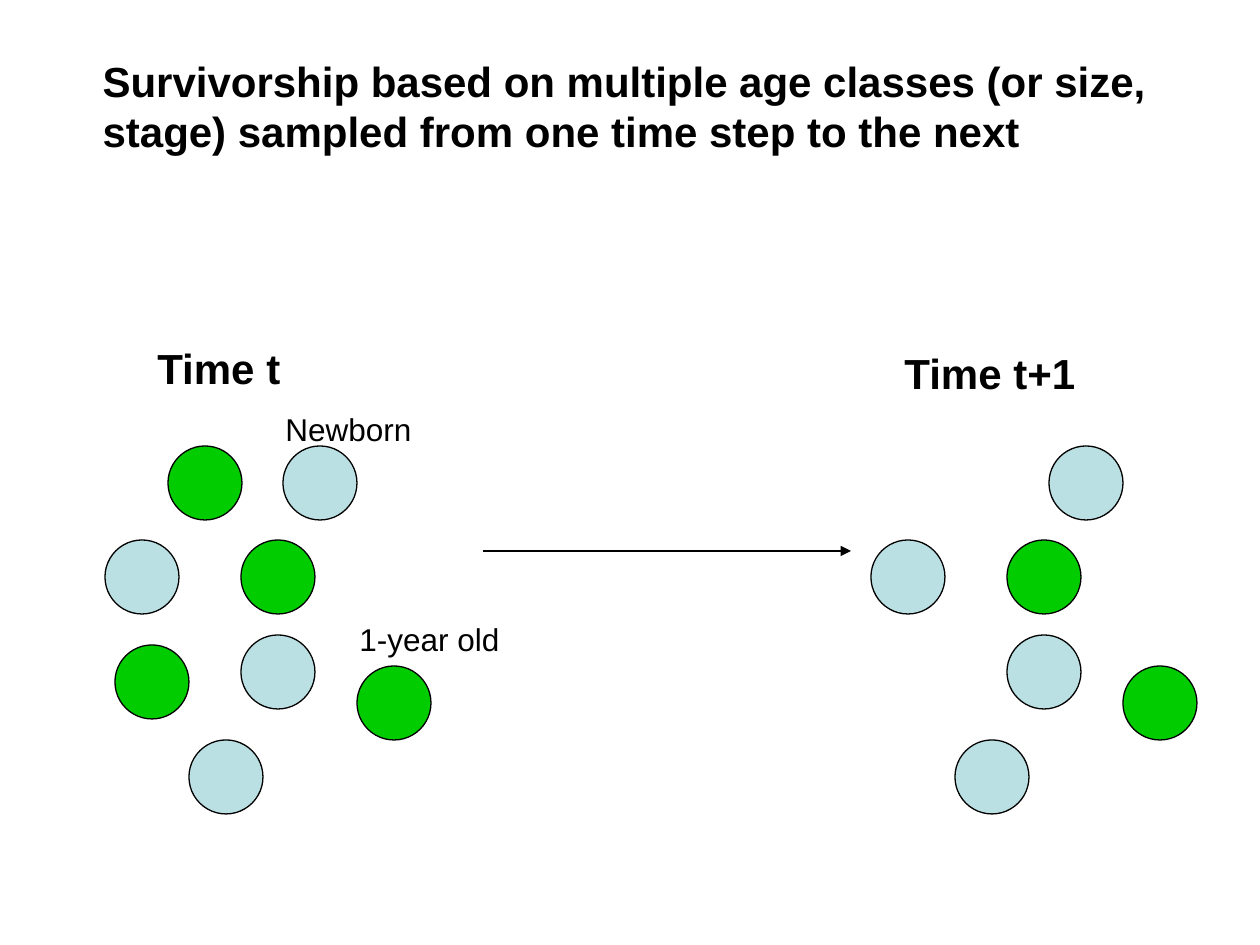
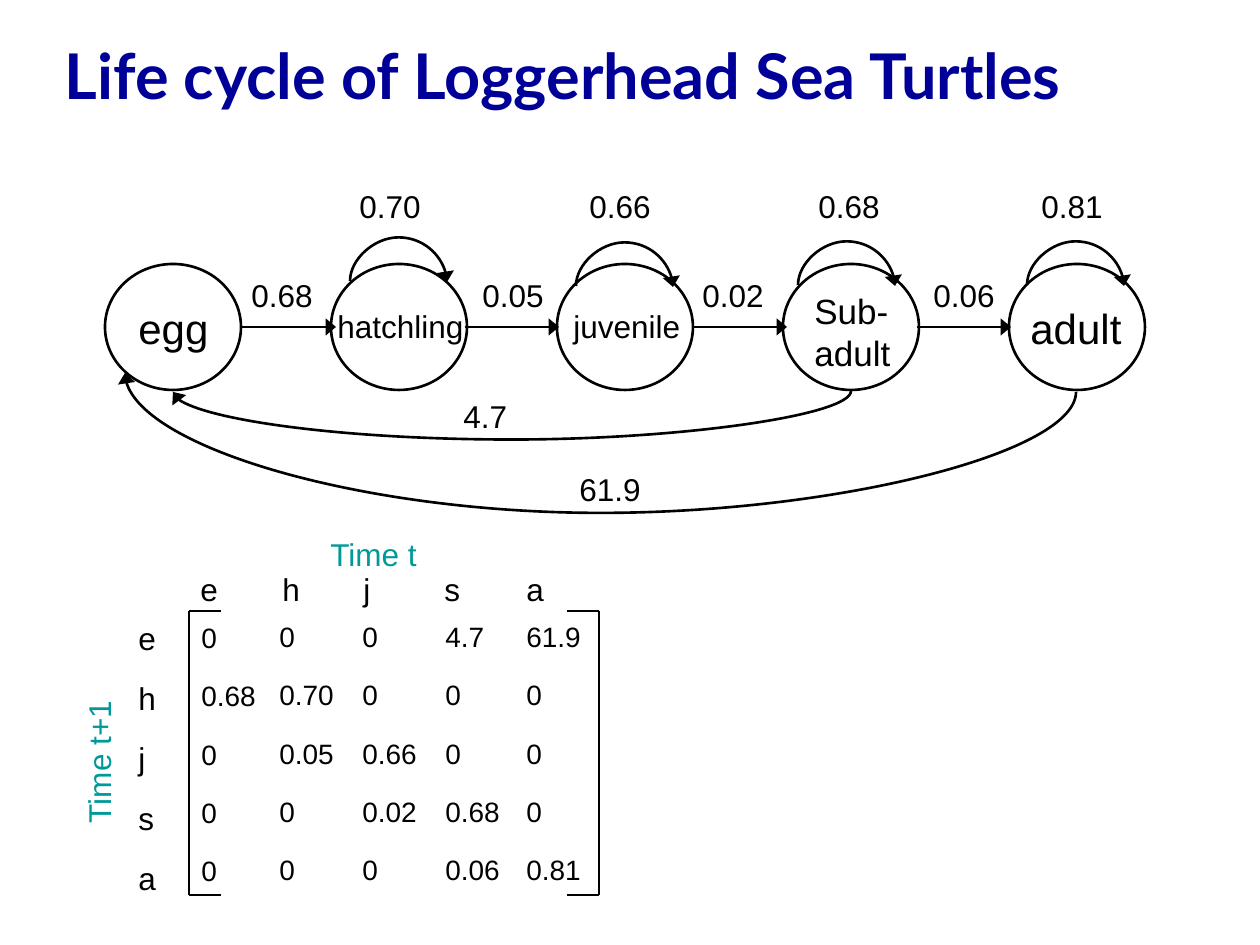
from dataclasses import dataclass
from typing import Optional

from lxml.etree import SubElement
from pptx import Presentation
from pptx.dml.color import RGBColor
from pptx.enum.shapes import MSO_CONNECTOR as Link, MSO_SHAPE as Preset
from pptx.enum.text import MSO_ANCHOR as Anchor, MSO_AUTO_SIZE as AutoSize, PP_ALIGN as Align
from pptx.oxml.ns import qn
from pptx.util import Emu, Pt

EMU_PER_PX = 914400 / 126
TITLE_ONLY = 5
COLORS = {
    "ink": "000000",
    "navy": "000099",
    "teal": "009999",
    "newborn": "BBE0E3",
    "one_year": "00CC00",
}


@dataclass(frozen=True)
class Label:
    text: str
    x: int
    y: int
    width: int
    height: int = 50
    size: int = 18
    color: str = "ink"
    font: str = "Arial"
    bold: bool = False
    wrap: bool = False
    rotation: int = 0


@dataclass(frozen=True)
class Individual:
    x: int
    y: int
    age_class: str
    survives: bool = True


@dataclass(frozen=True)
class Staying:
    x: int
    y: int
    rate: str
    rate_x: int


@dataclass(frozen=True)
class Stage:
    name: Label
    staying: Optional[Staying] = None


@dataclass(frozen=True)
class Transition:
    x: int
    rate: str
    rate_x: int


@dataclass(frozen=True)
class Fecundity:
    start: tuple[int, int]
    end: tuple[int, int]
    depth: int
    rate: Label


POPULATION = [
    Individual(168, 446, "one_year", survives=False),
    Individual(283, 446, "newborn"),
    Individual(105, 540, "newborn"),
    Individual(241, 540, "one_year"),
    Individual(115, 645, "one_year", survives=False),
    Individual(241, 635, "newborn"),
    Individual(189, 740, "newborn"),
    Individual(357, 666, "one_year"),
]
INDIVIDUAL_SIZE = 74
NEXT_STEP_SHIFT = 766
SURVIVORSHIP_TITLE = Label(
    "Survivorship based on multiple age classes (or size, stage) sampled from one time step to the next",
    90, 49, 1071, 115, 24, bold=True, wrap=True)
SURVIVORSHIP_LABELS = [
    Label("1-year old", 347, 614, 165),
    Label("Newborn", 273, 404, 151),
    Label("Time t", 145, 336, 150, 64, 24, bold=True),
    Label("Time t+1", 892, 341, 198, 64, 24, bold=True),
]

TURTLE_TITLE = Label("Life cycle of Loggerhead Sea Turtles", 52, 30, 1166, 88, 36, "navy", "Lato", True)
STAGES = [
    Stage(Label("egg", 126, 296, 96, 63, 24)),
    Stage(Label("hatchling", 325, 301, 151), Staying(350, 281, "0.70", 347)),
    Stage(Label("juvenile", 561, 301, 132), Staying(576, 286, "0.66", 577)),
    Stage(Label("Sub-\nadult", 802, 283, 101, 97, 20), Staying(798, 285, "0.68", 806)),
    Stage(Label("adult", 1018, 296, 117, 63, 24), Staying(1027, 285, "0.81", 1029)),
]
STAGE_X, STAGE_Y, STAGE_PITCH = 105, 264, 226
STAGE_WIDTH, STAGE_HEIGHT = 136, 126
LOOP_SPAN, LOOP_DEPTH, LOOP_RATE_Y = 97, -44, 181
TRANSITIONS = [
    Transition(242, "0.68", 239),
    Transition(465, "0.05", 470),
    Transition(693, "0.02", 690),
    Transition(917, "0.06", 921),
]
TRANSITION_Y, TRANSITION_LENGTH, TRANSITION_RATE_Y = 327, 94, 270
RATE_WIDTH = 87
FECUNDITIES = [
    Fecundity((851, 391), (173, 392), 49, Label("4.7", 451, 391, 69)),
    Fecundity((1076, 392), (125, 373), 121, Label("61.9", 567, 464, RATE_WIDTH)),
]

MATRIX_STAGES = "ehjsa"
MATRIX = [
    ["0", "0", "0", "4.7", "61.9"],
    ["0.68", "0.70", "0", "0", "0"],
    ["0", "0.05", "0.66", "0", "0"],
    ["0", "0", "0.02", "0.68", "0"],
    ["0", "0", "0", "0.06", "0.81"],
]
MATRIX_COLUMNS = [189, 267, 350, 433, 514]
MATRIX_Y, MATRIX_PITCH, FIRST_COLUMN_DROP = 613, 58.25, 1
CELL_WIDTH_BY_LENGTH = {1: 41, 3: 66, 4: 82}
HEADING_WIDTHS = {"e": 43, "h": 43, "j": 33, "s": 42, "a": 43}
HEADING_X, HEADING_Y, HEADING_PITCH = 188, 564, 81.5
ROW_NAME_X, ROW_NAME_PITCH = 126, 60
BRACKET_TOP, BRACKET_BOTTOM = 611, 895
BRACKETS = [(189, 221), (599, 567)]
TIME_LABELS = [
    Label("Time t", 318, 529, 113, color="teal"),
    Label("Time t+1", 24, 736, 149, color="teal", rotation=270),
]


def px(length: float) -> Emu:
    return Emu(round(length * EMU_PER_PX))


def rgb(name: str) -> RGBColor:
    return RGBColor.from_string(COLORS[name])


def write(shape, label: Label) -> None:
    shape.left, shape.top = px(label.x), px(label.y)
    shape.width, shape.height = px(label.width), px(label.height)
    shape.rotation = label.rotation
    frame = shape.text_frame
    frame.word_wrap = label.wrap
    frame.auto_size = AutoSize.SHAPE_TO_FIT_TEXT
    frame.vertical_anchor = Anchor.TOP
    for index, line in enumerate(label.text.split("\n")):
        paragraph = frame.add_paragraph() if index else frame.paragraphs[0]
        paragraph.alignment = Align.LEFT
        run = paragraph.add_run()
        run.text = line
        run.font.name = label.font
        run.font.size = Pt(label.size)
        run.font.bold = label.bold
        run.font.color.rgb = rgb(label.color)


def add_label(slide, label: Label) -> None:
    write(slide.shapes.add_textbox(0, 0, 0, 0), label)


def add_ellipse(slide, x: int, y: int, width: int, height: int, weight: float, fill: Optional[str] = None) -> None:
    ellipse = slide.shapes.add_shape(Preset.OVAL, px(x), px(y), px(width), px(height))
    ellipse.shadow.inherit = False
    if fill:
        ellipse.fill.solid()
        ellipse.fill.fore_color.rgb = rgb(fill)
    else:
        ellipse.fill.background()
    ellipse.line.color.rgb = rgb("ink")
    ellipse.line.width = Pt(weight)


def add_link(slide, start: tuple[float, float], end: tuple[float, float], weight: float,
             head_width: Optional[str] = None, kind=Link.STRAIGHT):
    link = slide.shapes.add_connector(kind, px(start[0]), px(start[1]), px(end[0]), px(end[1]))
    link.line.color.rgb = rgb("ink")
    link.line.width = Pt(weight)
    if head_width:
        SubElement(link.line._get_or_add_ln(), qn("a:tailEnd"), type="triangle", w=head_width)
    SubElement(link._element.spPr, qn("a:effectLst"))
    return link


def add_arc(slide, start: tuple[int, int], end: tuple[int, int], depth: int) -> None:
    drop, span = end[1] - start[1], abs(end[0] - start[0])
    center_x, center_y = (start[0] + end[0]) / 2, (start[1] + end[1]) / 2
    left, top = center_x - abs(drop) / 2, center_y - span / 2
    arc = add_link(slide, (left, top), (left + abs(drop), top + span), 1.5, "lg", Link.CURVE)
    properties = arc._element.spPr
    frame = properties.find(qn("a:xfrm"))
    frame.set("rot", str((90 if drop > 0 else 270) * 60000))
    if (start[0] < end[0]) == (drop > 0):
        frame.set("flipV", "1")
    adjustments = properties.find(qn("a:prstGeom")).find(qn("a:avLst"))
    SubElement(adjustments, qn("a:gd"), name="adj1", fmla=f"val {round(depth / drop * 100000)}")


def add_titled_slide(deck, title: Label):
    slide = deck.slides.add_slide(deck.slide_layouts[TITLE_ONLY])
    write(slide.shapes.title, title)
    return slide


def build_survivorship(deck) -> None:
    slide = add_titled_slide(deck, SURVIVORSHIP_TITLE)
    survivors = [individual for individual in POPULATION if individual.survives]
    for shift, group in ((0, POPULATION), (NEXT_STEP_SHIFT, survivors)):
        for individual in group:
            add_ellipse(slide, individual.x + shift, individual.y, INDIVIDUAL_SIZE, INDIVIDUAL_SIZE,
                        0.75, individual.age_class)
    for label in SURVIVORSHIP_LABELS:
        add_label(slide, label)
    add_link(slide, (483, 551), (851, 551), 0.75, "med")


def draw_life_cycle(slide) -> None:
    for index, stage in enumerate(STAGES):
        add_ellipse(slide, STAGE_X + index * STAGE_PITCH, STAGE_Y, STAGE_WIDTH, STAGE_HEIGHT, 1.5)
        add_label(slide, stage.name)
        if stage.staying:
            loop = stage.staying
            add_arc(slide, (loop.x, loop.y), (loop.x + LOOP_SPAN, loop.y + 1), LOOP_DEPTH)
            add_label(slide, Label(loop.rate, loop.rate_x, LOOP_RATE_Y, RATE_WIDTH))
    for step in TRANSITIONS:
        add_link(slide, (step.x, TRANSITION_Y), (step.x + TRANSITION_LENGTH, TRANSITION_Y), 1.5, "lg")
        add_label(slide, Label(step.rate, step.rate_x, TRANSITION_RATE_Y, RATE_WIDTH))
    for fecundity in FECUNDITIES:
        add_arc(slide, fecundity.start, fecundity.end, fecundity.depth)
        add_label(slide, fecundity.rate)


def draw_matrix(slide) -> None:
    for side, tip in BRACKETS:
        add_link(slide, (side, BRACKET_TOP), (side, BRACKET_BOTTOM), 0.75)
        for y in (BRACKET_TOP, BRACKET_BOTTOM):
            add_link(slide, (side, y), (tip, y), 0.75)
    for index, name in enumerate(MATRIX_STAGES):
        width = HEADING_WIDTHS[name]
        add_label(slide, Label(name, round(HEADING_X + index * HEADING_PITCH), HEADING_Y, width))
        add_label(slide, Label(name, ROW_NAME_X, MATRIX_Y + index * ROW_NAME_PITCH, width))
    for row, rates in enumerate(MATRIX):
        for column, (x, rate) in enumerate(zip(MATRIX_COLUMNS, rates)):
            y = round(MATRIX_Y + row * MATRIX_PITCH) + (0 if column else FIRST_COLUMN_DROP)
            add_label(slide, Label(rate, x, y, CELL_WIDTH_BY_LENGTH[len(rate)], 47, 16))
    for label in TIME_LABELS:
        add_label(slide, label)


def build_turtles(deck) -> None:
    slide = add_titled_slide(deck, TURTLE_TITLE)
    draw_life_cycle(slide)
    draw_matrix(slide)


def main() -> None:
    deck = Presentation()
    deck.slide_width, deck.slide_height = px(1260), px(945)
    build_survivorship(deck)
    build_turtles(deck)
    deck.save("out.pptx")


if __name__ == "__main__":
    main()
